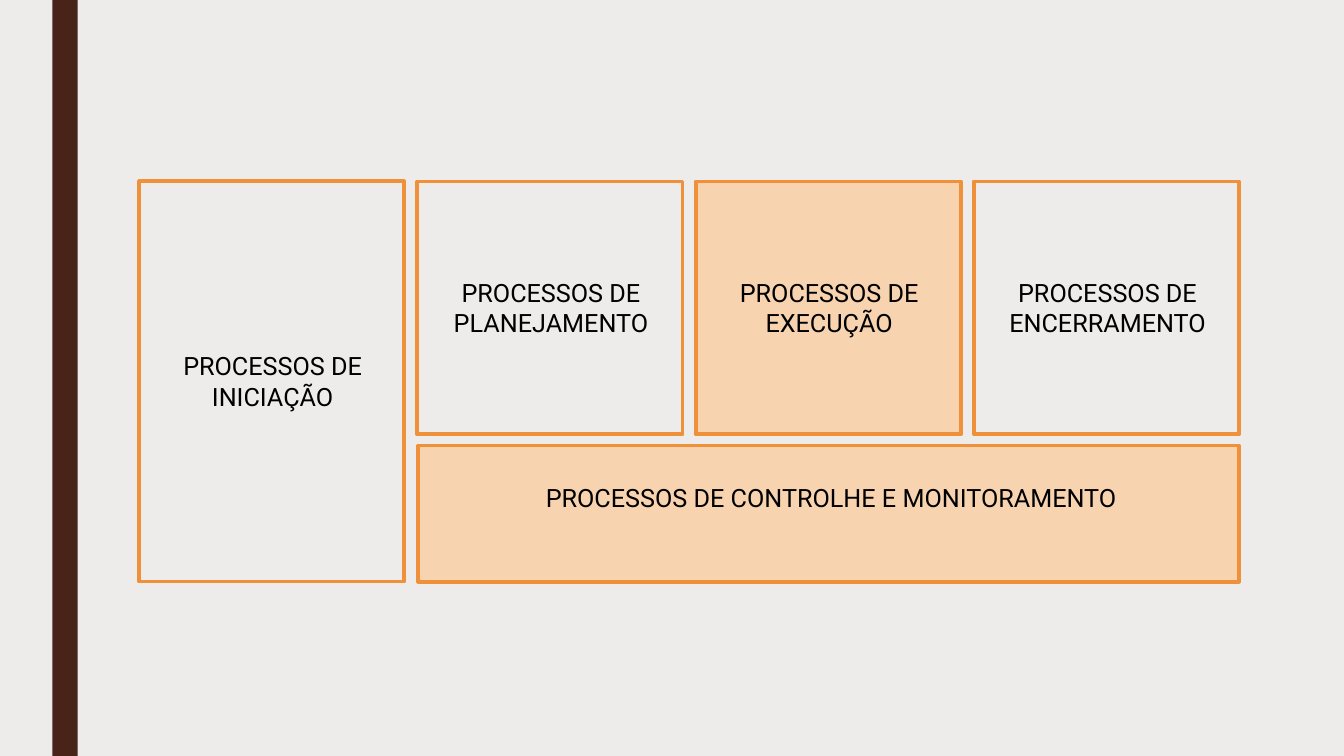
from dataclasses import dataclass

from pptx import Presentation
from pptx.dml.color import RGBColor
from pptx.enum.shapes import MSO_SHAPE
from pptx.enum.text import MSO_AUTO_SIZE, PP_ALIGN
from pptx.slide import Slide
from pptx.util import Inches, Pt

RECTANGLE = MSO_SHAPE.RECTANGLE
CENTER = PP_ALIGN.CENTER
FIT_SHAPE = MSO_AUTO_SIZE.SHAPE_TO_FIT_TEXT
BLANK_LAYOUT = 6

COLORS = {
    "background": "EDECEB",
    "bar": "4A2318",
    "outline": "EE913A",
    "highlight": "F8D3B0",
    "text": "000000",
}
FONT_FORMAT = {"name": "Roboto", "size": Pt(18)}

LEFT, TOP = 1.38, 1.8
COLUMN_WIDTH, COLUMN_STEP = 2.63, 2.76
PHASE_HEIGHT, TOTAL_HEIGHT = 2.51, 3.97
CONTROL_LEFT, CONTROL_TOP = 4.15, 4.42
CONTROL_WIDTH, CONTROL_HEIGHT = 8.14, 1.35
TWO_LINES, ONE_LINE = 0.71, 0.4


@dataclass(frozen=True)
class Box:
    """Position and size in inches."""

    left: float
    top: float
    width: float
    height: float

    def lengths(self) -> list[Inches]:
        """Return left, top, width and height as lengths."""
        return [Inches(value) for value in (self.left, self.top, self.width, self.height)]


@dataclass(frozen=True)
class Phase:
    """A column of the process diagram."""

    label: str
    height: float = PHASE_HEIGHT
    fill: str | None = None


PHASES = [
    Phase("PROCESSOS DE INICIAÇÃO", height=TOTAL_HEIGHT),
    Phase("PROCESSOS DE PLANEJAMENTO"),
    Phase("PROCESSOS DE EXECUÇÃO", fill="highlight"),
    Phase("PROCESSOS DE ENCERRAMENTO"),
]


def color(name: str) -> RGBColor:
    """Look up a named colour."""
    return RGBColor.from_string(COLORS[name])


def add_rectangle(slide: Slide, box: Box, fill: str | None, outline: str | None) -> None:
    """Draw a rectangle with an optional fill and outline."""
    shape = slide.shapes.add_shape(RECTANGLE, *box.lengths())
    shape.shadow.inherit = False
    for part, name in ((shape.fill, fill), (shape.line.fill, outline)):
        if name:
            part.solid()
            part.fore_color.rgb = color(name)
        else:
            part.background()
    if outline:
        shape.line.width = Pt(2.75)


def add_label(slide: Slide, box: Box, text: str) -> None:
    """Write a centred label."""
    text_frame = slide.shapes.add_textbox(*box.lengths()).text_frame
    text_frame.word_wrap = True
    text_frame.auto_size = FIT_SHAPE
    paragraph = text_frame.paragraphs[0]
    paragraph.alignment = CENTER
    run = paragraph.add_run()
    run.text = text
    for attribute, value in FONT_FORMAT.items():
        setattr(run.font, attribute, value)
    run.font.color.rgb = color("text")


def add_phase(slide: Slide, phase: Phase, left: float) -> None:
    """Draw a phase column with its label at mid-height."""
    add_rectangle(slide, Box(left, TOP, COLUMN_WIDTH, phase.height), phase.fill, "outline")
    label_top = TOP + (phase.height - TWO_LINES) / 2
    add_label(slide, Box(left + 0.01, label_top, COLUMN_WIDTH, TWO_LINES), phase.label)


def main() -> None:
    """Build and save the slide."""
    presentation = Presentation()
    presentation.slide_width = Inches(13.33)
    presentation.slide_height = Inches(7.5)
    slide = presentation.slides.add_slide(presentation.slide_layouts[BLANK_LAYOUT])
    slide.background.fill.solid()
    slide.background.fill.fore_color.rgb = color("background")

    add_rectangle(slide, Box(0.52, 0, 0.25, 7.5), "bar", None)
    for column, phase in enumerate(PHASES):
        add_phase(slide, phase, LEFT + column * COLUMN_STEP)

    control = Box(CONTROL_LEFT, CONTROL_TOP, CONTROL_WIDTH, CONTROL_HEIGHT)
    add_rectangle(slide, control, "highlight", "outline")
    add_label(slide, Box(4.21, 4.74, 8.07, ONE_LINE), "PROCESSOS DE CONTROLHE E MONITORAMENTO")
    presentation.save("out.pptx")


main()
